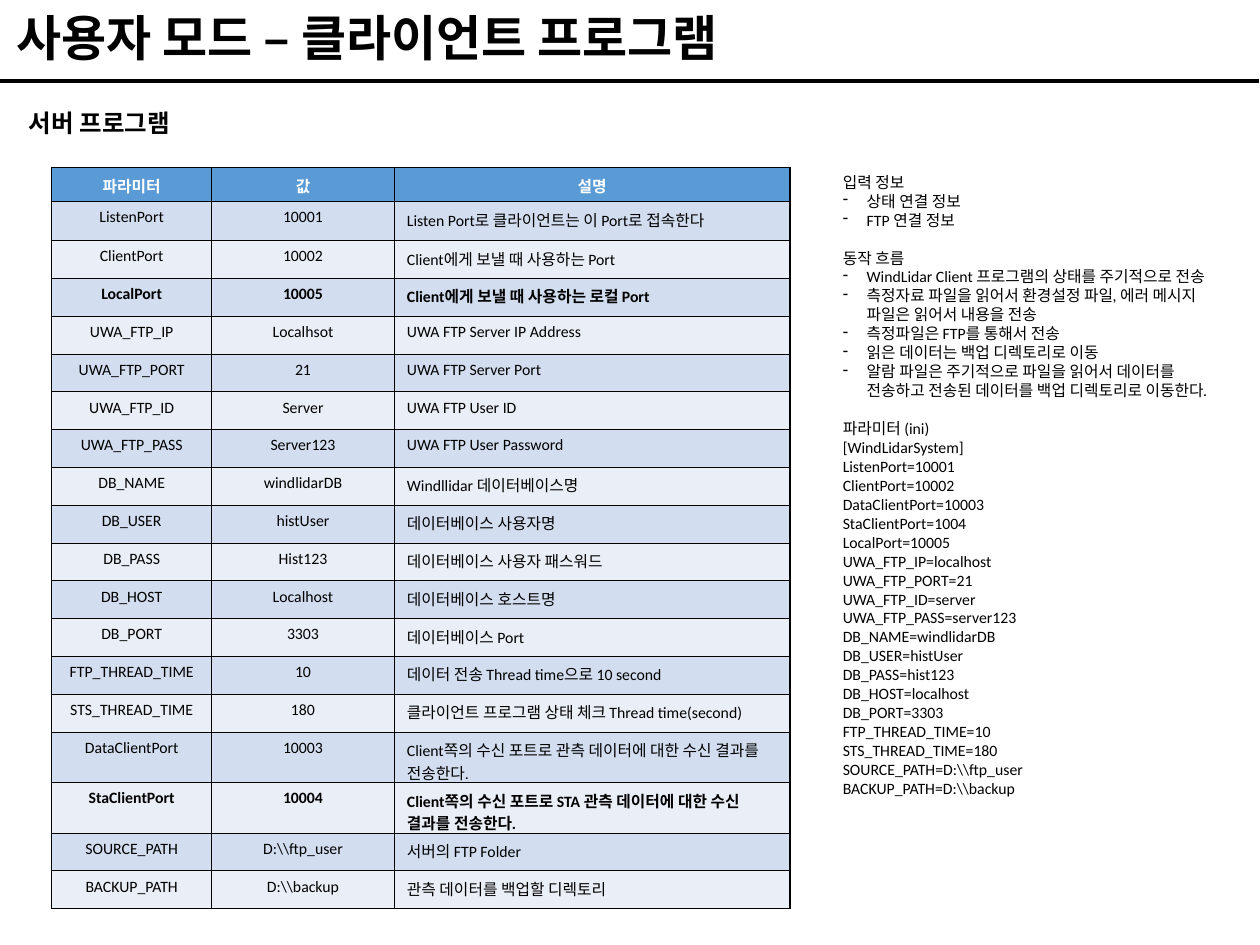
from pptx import Presentation
from pptx.dml.color import RGBColor
from pptx.enum.shapes import MSO_CONNECTOR
from pptx.enum.text import MSO_ANCHOR, MSO_AUTO_SIZE, PP_ALIGN
from pptx.oxml.ns import qn
from pptx.util import Inches, Pt
from lxml import etree

BLACK = RGBColor(0x00, 0x00, 0x00)
WHITE = RGBColor(0xFF, 0xFF, 0xFF)
HEADER_BLUE = RGBColor(0x5B, 0x9B, 0xD5)
BANDS = (RGBColor(0xD2, 0xDE, 0xEF), RGBColor(0xEA, 0xEF, 0xF7))
LEFT, CENTER = PP_ALIGN.LEFT, PP_ALIGN.CENTER
BOTTOM, TOP = MSO_ANCHOR.BOTTOM, MSO_ANCHOR.TOP
GROW, NO_FIT = MSO_AUTO_SIZE.SHAPE_TO_FIT_TEXT, MSO_AUTO_SIZE.NONE
STRAIGHT = MSO_CONNECTOR.STRAIGHT

HEADERS = ("파라미터", "값", "설명")
PARAMETERS = [
    ("ListenPort", "10001", "Listen Port로 클라이언트는 이 Port로 접속한다"),
    ("ClientPort", "10002", "Client에게 보낼 때 사용하는 Port"),
    ("LocalPort", "10005", "Client에게 보낼 때 사용하는 로컬 Port"),
    ("UWA_FTP_IP", "Localhsot", "UWA FTP Server IP Address"),
    ("UWA_FTP_PORT", "21", "UWA FTP Server Port"),
    ("UWA_FTP_ID", "Server", "UWA FTP User ID"),
    ("UWA_FTP_PASS", "Server123", "UWA FTP User Password"),
    ("DB_NAME", "windlidarDB", "Windllidar 데이터베이스명"),
    ("DB_USER", "histUser", "데이터베이스 사용자명"),
    ("DB_PASS", "Hist123", "데이터베이스 사용자 패스워드"),
    ("DB_HOST", "Localhost", "데이터베이스 호스트명"),
    ("DB_PORT", "3303", "데이터베이스 Port"),
    ("FTP_THREAD_TIME", "10", "데이터 전송 Thread time으로 10 second"),
    ("STS_THREAD_TIME", "180", "클라이언트 프로그램 상태 체크 Thread time(second)"),
    ("DataClientPort", "10003",
     "Client쪽의 수신 포트로 관측 데이터에 대한 수신 결과를 전송한다."),
    ("StaClientPort", "10004",
     "Client쪽의 수신 포트로 STA 관측 데이터에 대한 수신 결과를 전송한다."),
    ("SOURCE_PATH", r"D:\\ftp_user", "서버의 FTP Folder"),
    ("BACKUP_PATH", r"D:\\backup", "관측 데이터를 백업할 디렉토리"),
]
BOLD_PARAMETERS = {"LocalPort", "StaClientPort"}

# Each section: heading, whether its lines are bulleted, lines
NOTES = [
    ("입력 정보", True, ["상태 연결 정보", "FTP 연결 정보"]),
    ("동작 흐름", True, [
        "WindLidar Client 프로그램의 상태를 주기적으로 전송",
        "측정자료 파일을 읽어서 환경설정 파일, 에러 메시지 파일은 읽어서 내용을 전송",
        "측정파일은 FTP를 통해서 전송",
        "읽은 데이터는 백업 디렉토리로 이동",
        "알람 파일은 주기적으로 파일을 읽어서 데이터를 전송하고 "
        "전송된 데이터를 백업 디렉토리로 이동한다.",
    ]),
    ("파라미터 (ini)", False, [
        "[WindLidarSystem]", "ListenPort=10001", "ClientPort=10002",
        "DataClientPort=10003", "StaClientPort=1004", "LocalPort=10005",
        "UWA_FTP_IP=localhost", "UWA_FTP_PORT=21", "UWA_FTP_ID=server",
        "UWA_FTP_PASS=server123", "DB_NAME=windlidarDB", "DB_USER=histUser",
        "DB_PASS=hist123", "DB_HOST=localhost", "DB_PORT=3303",
        "FTP_THREAD_TIME=10", "STS_THREAD_TIME=180",
        r"SOURCE_PATH=D:\\ftp_user", r"BACKUP_PATH=D:\\backup",
    ]),
]


def add_run(p, text, size, bold=False, color=BLACK, font="Calibri"):
    r = p.add_run()
    r.text = text
    r.font.name, r.font.size, r.font.bold = font, Pt(size), bold
    r.font.color.rgb = color


def add_title(slide, left, top, width, height):
    """Title with the rule across the slide below it."""
    sp = slide.shapes.title
    sp.left, sp.top, sp.width, sp.height = left, top, width, height
    tf = sp.text_frame
    tf.vertical_anchor, tf.auto_size = BOTTOM, NO_FIT
    p = tf.paragraphs[0]
    p.alignment, p.line_spacing = LEFT, 0.9
    add_run(p, "사용자 모드 – 클라이언트 프로그램", 28, bold=True)

    y = top + height + Inches(0.06)
    rule = slide.shapes.add_connector(STRAIGHT, 0, y, Inches(9.99), y)
    rule.line.color.rgb, rule.line.width = BLACK, Pt(2.25)
    etree.SubElement(rule._element.spPr, qn("a:effectLst"))


def add_subtitle(slide, left, top, width, height):
    tf = slide.shapes.add_textbox(left, top, width, height).text_frame
    tf.word_wrap, tf.auto_size = False, GROW
    add_run(tf.paragraphs[0], "서버 프로그램", 14, bold=True, font="Arial")


def set_borders(cell, **widths):
    """Draw black cell borders, widths in points keyed by side (L, R, T, B)."""
    tcPr = cell._tc.get_or_add_tcPr()
    for side, width in widths.items():
        ln = etree.SubElement(tcPr, qn("a:ln" + side), w=str(Pt(width)))
        fill = etree.SubElement(ln, qn("a:solidFill"))
        etree.SubElement(fill, qn("a:srgbClr"), val=str(BLACK))


def add_parameter_table(slide, left, top, width, height):
    rows = [HEADERS] + PARAMETERS
    last_row, last_col = len(rows) - 1, len(HEADERS) - 1
    table = slide.shapes.add_table(
        len(rows), len(HEADERS), left, top, width, height).table
    for column, inches in zip(table.columns, (1.27, 1.45, 3.14)):
        column.width = Inches(inches)
    for i, values in enumerate(rows):
        table.rows[i].height = Inches({0: 0.27, 1: 0.31}.get(i, 0.3))
        if values[0].startswith(("DataClient", "StaClient")):
            table.rows[i].height = Inches(0.4)
        header = i == 0
        bold = header or values[0] in BOLD_PARAMETERS
        for j, text in enumerate(values):
            cell = table.cell(i, j)
            set_borders(cell,
                        L=1 if j == 0 else 0.5,
                        R=1 if j == last_col else 0.5,
                        T=1 if header else 0.5,
                        B=1 if i == last_row else 0.5)
            cell.fill.solid()
            cell.fill.fore_color.rgb = (
                HEADER_BLUE if header else BANDS[(i - 1) % 2])
            cell.vertical_anchor = TOP
            p = cell.text_frame.paragraphs[0]
            p.alignment = CENTER if header or j < last_col else LEFT
            add_run(p, text, 9, bold, WHITE if header else BLACK)


def add_dash(p):
    pPr = p._p.get_or_add_pPr()
    indent = Inches(0.19)
    pPr.set("marL", str(indent))
    pPr.set("indent", str(-indent))
    etree.SubElement(pPr, qn("a:buFontTx"))
    etree.SubElement(pPr, qn("a:buChar"), char="-")


def add_notes_column(slide, left, top, width, height):
    tf = slide.shapes.add_textbox(left, top, width, height).text_frame
    tf.word_wrap, tf.auto_size = True, GROW
    p = tf.paragraphs[0]
    for n, (heading, bulleted, lines) in enumerate(NOTES):
        if n:
            p = tf.add_paragraph()
            p.space_before = Pt(10.8)
        add_run(p, heading, 9)
        for line in lines:
            p = tf.add_paragraph()
            if bulleted:
                add_dash(p)
            add_run(p, line, 9)


def main():
    prs = Presentation()
    prs.slide_width, prs.slide_height = Inches(10), Inches(7.5)
    slide = prs.slides.add_slide(prs.slide_layouts[5])
    add_title(slide, Inches(0.03), Inches(0.03), Inches(9.93), Inches(0.55))
    add_subtitle(slide, Inches(0.13), Inches(0.81), Inches(1.45), Inches(0.34))
    add_notes_column(slide, Inches(6.59), Inches(1.32), Inches(3.28), Inches(5.1))
    add_parameter_table(slide, Inches(0.41), Inches(1.33), Inches(5.86), Inches(5.89))
    prs.save("out.pptx")


if __name__ == "__main__":
    main()
